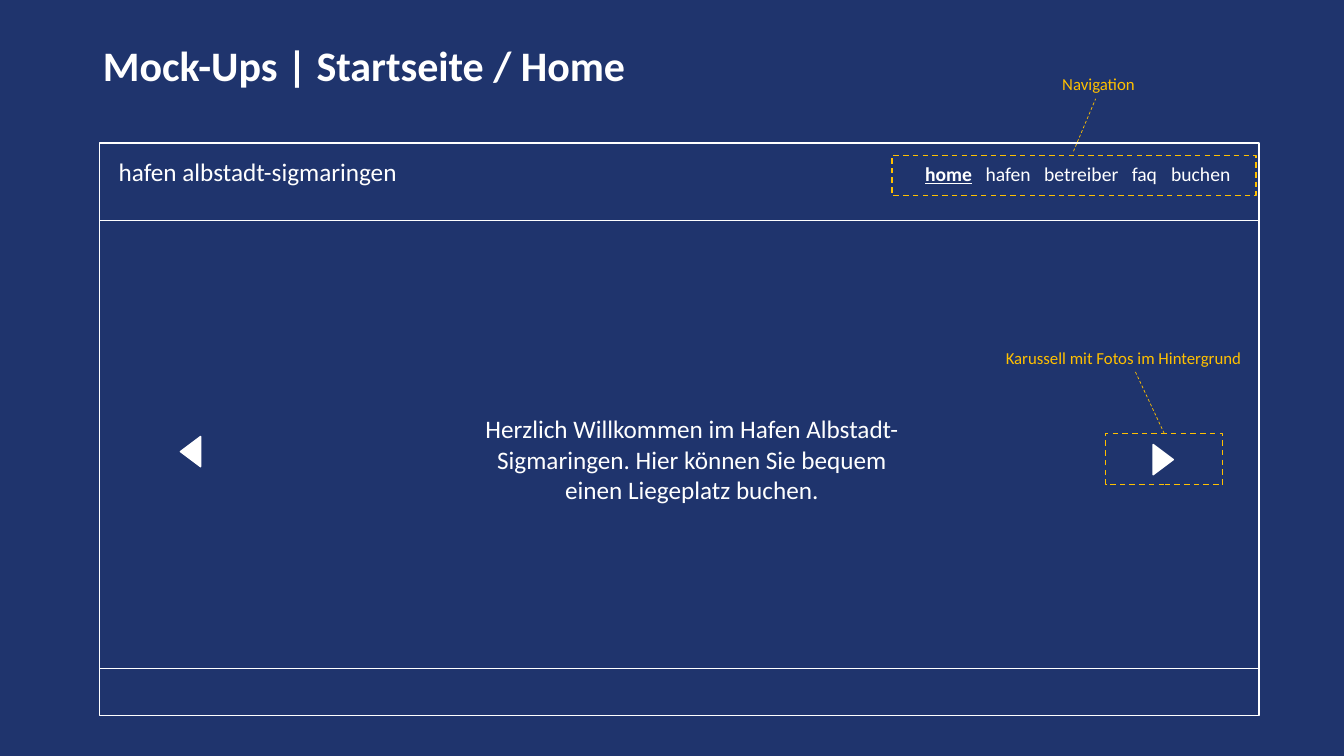
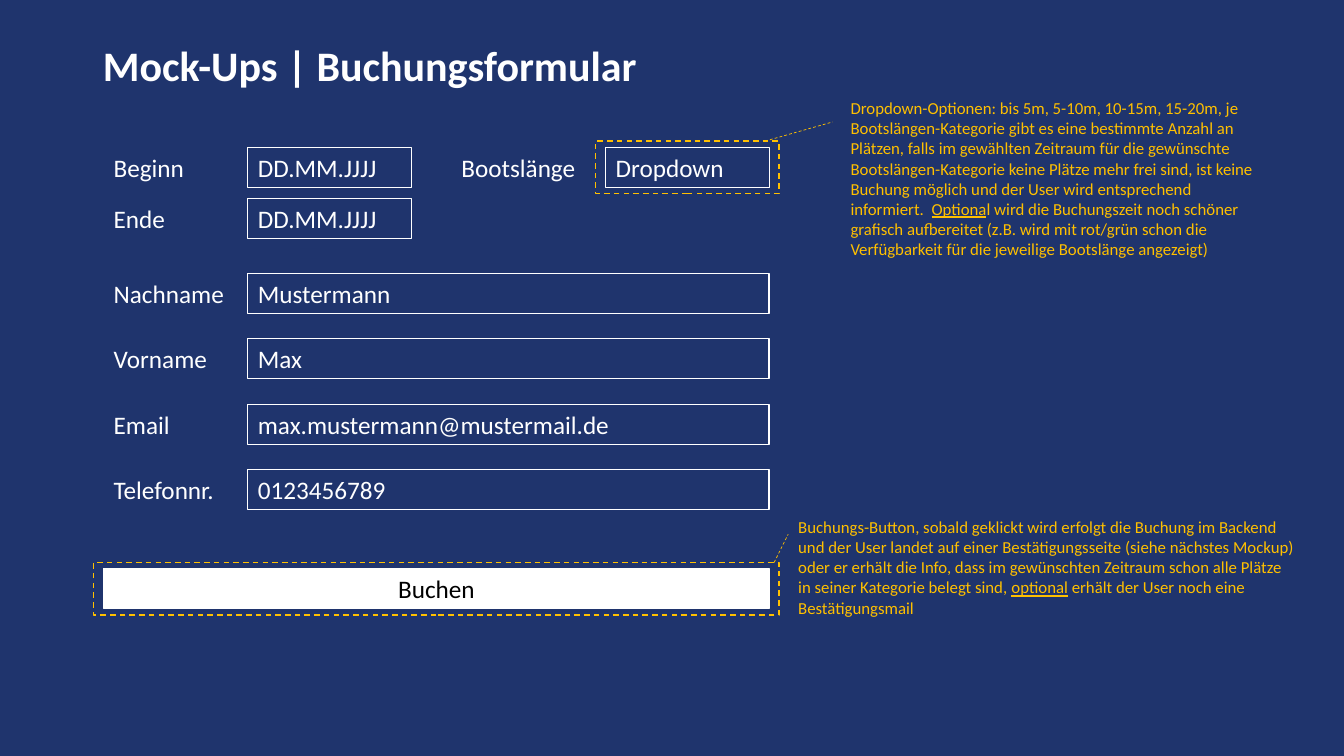
import pptx
import pptx.dml.color
import pptx.enum.dml
import pptx.enum.shapes
import pptx.enum.text
import pptx.oxml.ns
import pptx.util
import lxml.etree

# Shared look
NAVY = pptx.dml.color.RGBColor(0x1F, 0x34, 0x6D)
WHITE = pptx.dml.color.RGBColor(0xFF, 0xFF, 0xFF)
BLACK = pptx.dml.color.RGBColor(0x00, 0x00, 0x00)
AMBER = pptx.dml.color.RGBColor(0xFF, 0xC0, 0x00)
FONT = "Calibri"
SHAPE = pptx.enum.shapes.MSO_SHAPE
ALIGN = pptx.enum.text.PP_ALIGN
ANCHOR = pptx.enum.text.MSO_ANCHOR
DASH = pptx.enum.dml.MSO_LINE.DASH

deck = pptx.Presentation()
deck.slide_height = pptx.util.Inches(7.5)
deck.slide_width = deck.slide_height * 16 // 9
deck.slide_master.background.fill.solid()
deck.slide_master.background.fill.fore_color.rgb = NAVY

# Square grid: 75 rows to the slide's height
CELL = deck.slide_height / 75


def add_box(page, area, line=WHITE, weight=0.75, fill=None, dashed=False, preset=SHAPE.RECTANGLE):
    """Draw an outlined shape; area is left, top, width, height in cells."""
    box = page.shapes.add_shape(preset, *[round(n * CELL) for n in area])
    box.shadow.inherit = False
    box.line.color.rgb = line
    box.line.width = pptx.util.Pt(weight)
    if dashed:
        box.line.dash_style = DASH
    if fill is None:
        box.fill.background()
    else:
        box.fill.solid()
        box.fill.fore_color.rgb = fill
    return box


def add_text(page, target, spans, size=18, color=WHITE, align=ALIGN.LEFT):
    """Write spans (every second one underlined) into a box or a new text area."""
    if isinstance(target, tuple):
        target = page.shapes.add_textbox(*[round(n * CELL) for n in target])
    frame = target.text_frame
    frame.word_wrap = True
    frame.vertical_anchor = ANCHOR.MIDDLE
    para = frame.paragraphs[0]
    para.alignment = align
    para.font.name = FONT
    para.font.size = pptx.util.Pt(size)
    para.font.color.rgb = color
    for index, words in enumerate(spans):
        span = para.add_run()
        span.text = words
        if index % 2:
            span.font.underline = True
    return para


# Pages with their titles
pages = []
for heading in ("Startseite / Home", "Buchungsformular"):
    page = deck.slides.add_slide(deck.slide_layouts[5])
    title = page.shapes.title
    title.left, title.top, title.width, title.height = [round(n * CELL) for n in (9.2, 4, 115, 14.5)]
    title.text_frame.text = "Mock-Ups | " + heading
    title.text_frame.vertical_anchor = ANCHOR.TOP
    para = title.text_frame.paragraphs[0]
    para.alignment = ALIGN.LEFT
    para.line_spacing = 0.9
    para.font.name = FONT
    para.font.size = pptx.util.Pt(30)
    para.font.bold = True
    para.font.color.rgb = WHITE
    pages.append(page)
home, form = pages

# Home: browser frame, with header and footer left around the main area
add_box(home, (9.9, 14.2, 115, 56.8), weight=1, fill=NAVY)
add_box(home, (9.9, 21.9, 115, 44.4))

# Home: site name and navigation on tab stops
para = add_text(home, (10.8, 15, 113.4, 4),
                ["hafen albstadt-sigmaringen\t", "home", "\thafen\tbetreiber\tfaq\tbuchen"], size=14)
para.runs[0].font.size = pptx.util.Pt(18)
para.runs[1].font.bold = True
properties = para._p.get_or_add_pPr()
tabs = lxml.etree.Element(pptx.oxml.ns.qn("a:tabLst"))
for stop in (80, 86, 91.8, 100.5, 104.4):
    lxml.etree.SubElement(tabs, pptx.oxml.ns.qn("a:tab"), pos=str(round(stop * CELL)), algn="l")
properties.find(pptx.oxml.ns.qn("a:defRPr")).addprevious(tabs)
add_box(home, (88.5, 15.4, 36.1, 4), line=AMBER, weight=1, dashed=True)

# Home: carousel
for left, top, turn in ((17.4, 43.8, 270), (113.9, 44.6, 90)):
    arrow = add_box(home, (left, top, 3, 2), weight=1, fill=WHITE, preset=SHAPE.ISOSCELES_TRIANGLE)
    arrow.rotation = turn
add_text(home, (46.5, 40.5, 44.3, 10.1),
         ["Herzlich Willkommen im Hafen Albstadt-Sigmaringen. "
          "Hier können Sie bequem einen Liegeplatz buchen."], align=ALIGN.CENTER)
carousel = add_box(home, (109.7, 43, 11.6, 5.1), line=AMBER, weight=1, dashed=True)

# Form: labels and fields
LABEL, FIELD, ROW = 10.3, 24.6, 4
SHORT, LONG = 16.2, 51.7
entries = [
    (LABEL, FIELD, 14.6, SHORT, "Beginn", "DD.MM.JJJJ"),
    (LABEL, FIELD, 19.7, SHORT, "Ende", "DD.MM.JJJJ"),
    (44.8, 60.1, 14.6, SHORT, "Bootslänge", "Dropdown"),
]
contact = (("Nachname", "Mustermann"), ("Vorname", "Max"),
           ("Email", "max.mustermann@mustermail.de"), ("Telefonnr.", "0123456789"))
for index, (label, value) in enumerate(contact):
    entries.append((LABEL, FIELD, 27.1 + 6.5 * index, LONG, label, value))
for label_left, field_left, top, width, label, value in entries:
    add_text(form, (label_left, top, 14.3, ROW), [label])
    add_text(form, add_box(form, (field_left, top, width, ROW)), [value])

# Form: button, and dashed marks around the dropdown and the button
button_width = FIELD + LONG - LABEL
button = add_box(form, (LABEL, 56.4, button_width, ROW), fill=WHITE)
add_text(form, button, ["Buchen"], color=BLACK, align=ALIGN.CENTER)
for left, top, width in ((60.1, 14.6, SHORT), (LABEL, 56.4, button_width)):
    add_box(form, (left - 1, top - 0.6, width + 2, ROW + 1.2), line=AMBER, weight=1, dashed=True)

# Annotations: text area, spans, leader start and end, box the leader joins
annotations = [
    (home, (104.4, 6.8, 13.4, 3), ["Navigation"], (106.5, 15), (108.7, 9.8), None),
    (home, (98.8, 34, 27.6, 3), ["Karussell mit Fotos im Hintergrund"],
     (115.5, 43), (112.6, 36.8), carousel),
    (form, (83.4, 9.1, 43.3, 17.2),
     ["Dropdown-Optionen: bis 5m, 5-10m, 10-15m, 15-20m, je Bootslängen-Kategorie gibt es eine "
      "bestimmte Anzahl an Plätzen, falls im gewählten Zeitraum für die gewünschte "
      "Bootslängen-Kategorie keine Plätze mehr frei sind, ist keine Buchung möglich und der User "
      "wird entsprechend informiert.  ", "Optiona",
      "l wird die Buchungszeit noch schöner grafisch aufbereitet (z.B. wird mit rot/grün schon die "
      "Verfügbarkeit für die jeweilige Bootslänge angezeigt)"],
     (75.9, 14), (82.6, 12.1), None),
    (form, (78.2, 50.7, 51.2, 11.1),
     ["Buchungs-Button, sobald geklickt wird erfolgt die Buchung im Backend und der User landet auf "
      "einer Bestätigungsseite (siehe nächstes Mockup) oder er erhält die Info, dass im gewünschten "
      "Zeitraum schon alle Plätze in seiner Kategorie belegt sind, ", "optional",
      " erhält der User noch eine Bestätigungsmail"],
     (76.8, 55.8), (78.2, 53), None),
]
for page, area, spans, start, end, joined in annotations:
    add_text(page, area, spans, size=12, color=AMBER)
    leader = page.shapes.add_connector(pptx.enum.shapes.MSO_CONNECTOR.STRAIGHT,
                                       *[round(n * CELL) for n in start + end])
    leader.line.color.rgb = AMBER
    leader.line.width = pptx.util.Pt(0.5)
    leader.line.dash_style = DASH
    lxml.etree.SubElement(leader._element.spPr, pptx.oxml.ns.qn("a:effectLst"))
    if joined is not None:
        leader.begin_connect(joined, 0)

deck.save("out.pptx")
